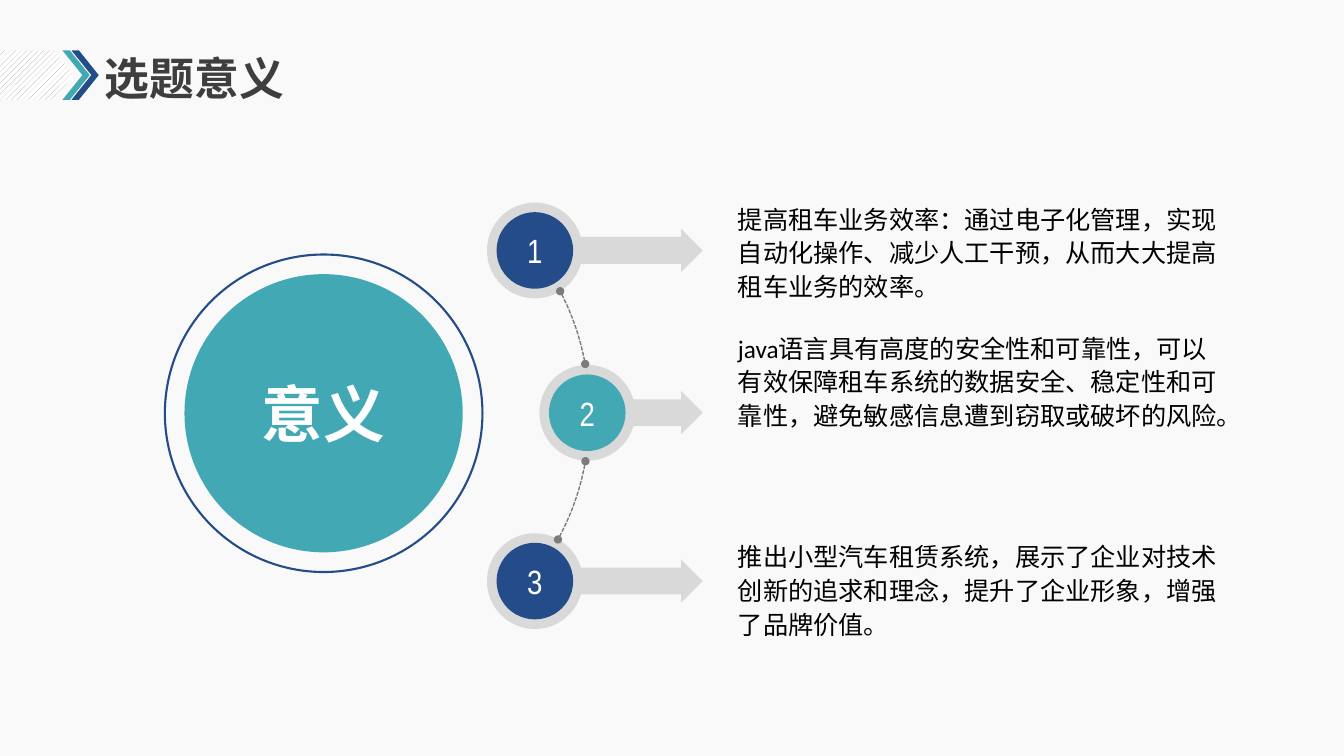
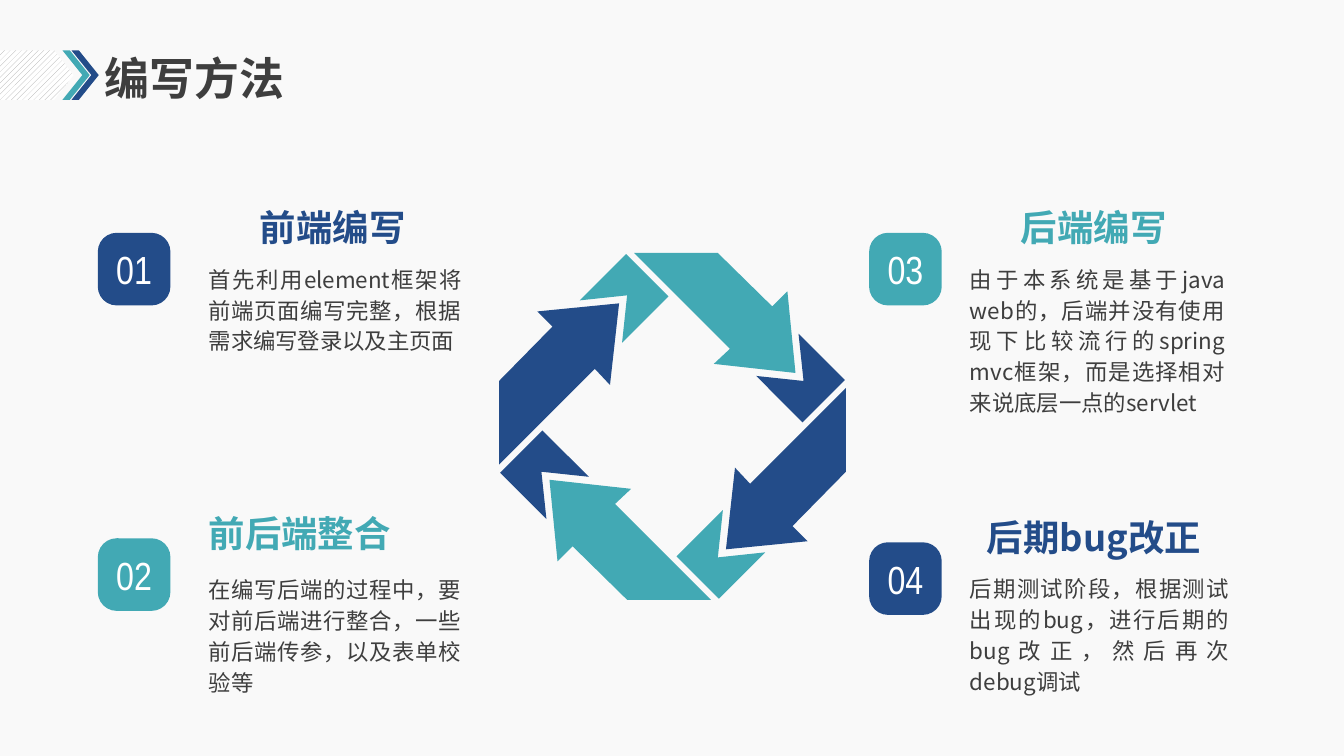
import math
from dataclasses import dataclass

import pptx
import pptx.dml.color
import pptx.enum.dml
import pptx.enum.lang
import pptx.enum.shapes
import pptx.enum.text
import pptx.oxml
import pptx.oxml.ns
import pptx.util
from lxml import etree

Inches = pptx.util.Inches
Shape = pptx.enum.shapes.MSO_SHAPE
Align = pptx.enum.text.PP_ALIGN
Anchor = pptx.enum.text.MSO_ANCHOR
AutoSize = pptx.enum.text.MSO_AUTO_SIZE


@dataclass(frozen=True)
class Theme:
    """Colours, fonts and type sizes shared by the slides."""

    paper: str = "F9F9F9"
    white: str = "FFFFFF"
    black: str = "000000"
    ink: str = "3E3E3E"
    teal: str = "42A9B4"
    blue: str = "234C89"
    pale: str = "D9D9D9"
    hatch: str = "A6A6A6"
    dotted: str = "7C7C7C"
    title_font: str = "Roboto"
    text_font: str = "Calibri"
    number_font: str = "Arial Narrow"
    chinese_font: str = "Noto Sans CJK SC"
    title_size: int = 32
    hub_size: int = 44
    heading_size: int = 26
    number_size: int = 28
    step_size: int = 24
    text_size: int = 18
    card_size: int = 16


THEME = Theme()


@dataclass(frozen=True)
class Step:
    """One numbered reason beside the hub."""

    left: float
    top: float
    color: str
    text_top: float
    text: str


@dataclass(frozen=True)
class Card:
    """One numbered working method beside the cycle."""

    number: str
    heading: str
    text: str
    color: str
    left: float
    top: float
    indent: float
    text_width: float
    text_drop: float = 0.56
    align: Align = Align.CENTER


STEPS = (
    Step(4.83, 2.01, THEME.blue, 1.94,
         "提高租车业务效率：通过电子化管理，实现自动化操作、减少人工干预，从而大大提高租车业务的效率。"),
    Step(5.35, 3.62, THEME.teal, 3.22,
         "java语言具有高度的安全性和可靠性，可以有效保障租车系统的数据安全、稳定性和可靠性，避免敏感信息遭到窃取或破坏的风险。"),
    Step(4.83, 5.29, THEME.blue, 5.29,
         "推出小型汽车租赁系统，展示了企业对技术创新的追求和理念，提升了企业形象，增强了品牌价值。"),
)

CARDS = (
    Card("01", "前端编写", "首先利用element框架将前端页面编写完整，根据需求编写登录以及主页面",
         THEME.blue, 0.97, 2.04, 1.1, 2.51),
    Card("02", "前后端整合", "在编写后端的过程中，要对前后端进行整合，一些前后端传参，以及表单校验等",
         THEME.teal, 0.97, 5.07, 1.1, 2.51, 0.61, Align.LEFT),
    Card("03", "后端编写",
         "由于本系统是基于java web的，后端并没有使用现下比较流行的spring mvc框架，而是选择相对来说底层一点的servlet",
         THEME.teal, 8.62, 2.04, 1, 2.53),
    Card("04", "后期bug改正", "后期测试阶段，根据测试出现的bug，进行后期的bug改正，然后再次debug调试",
         THEME.blue, 8.62, 5.11, 1, 2.57),
)

ARROW_OUTLINE = ((1.14, -1.34), (1.22, -0.53), (0.41, -0.62), (0.57, -0.77),
                 (-0.38, -1.72), (0.45, -1.72), (0.99, -1.19))
TAIL_OUTLINE = ((1.25, -0.92), (1.71, -0.46), (1.29, -0.04), (0.83, -0.5), (1.3, -0.45))


def rgb(color):
    """Turn a hex string into a colour."""
    return pptx.dml.color.RGBColor.from_string(color)


def paint(shape, fill=None, line=None, line_width=1):
    """Set fill and outline, and drop the shadow."""
    shape.shadow.inherit = False
    if fill:
        shape.fill.solid()
        shape.fill.fore_color.rgb = rgb(fill)
    else:
        shape.fill.background()
    if line:
        shape.line.color.rgb = rgb(line)
        shape.line.width = pptx.util.Pt(line_width)
    else:
        shape.line.fill.background()


def add_preset(slide, preset, box, fill=None, line=None, line_width=1, adjustments=()):
    """Add a preset shape in a box given in inches."""
    shape = slide.shapes.add_shape(preset, *map(Inches, box))
    for index, value in enumerate(adjustments):
        shape.adjustments[index] = value
    paint(shape, fill, line, line_width)
    return shape


def write(shape, text, font, size, color, bold=False, align=Align.LEFT, spacing=None,
          anchor=Anchor.TOP, margin=None, auto_size=AutoSize.NONE):
    """Write one formatted run into a shape."""
    frame = shape.text_frame
    frame.word_wrap = True
    frame.auto_size = auto_size
    frame.vertical_anchor = anchor
    if margin is not None:
        frame.margin_left = frame.margin_right = Inches(margin)
        frame.margin_top = frame.margin_bottom = Inches(margin)
    paragraph = frame.paragraphs[0]
    paragraph.alignment = align
    if spacing:
        paragraph.line_spacing = spacing
    run = paragraph.add_run()
    run.text = text
    run.font.name = font
    run.font.size = pptx.util.Pt(size)
    run.font.bold = bold
    run.font.color.rgb = rgb(color)
    run.font.language_id = pptx.enum.lang.MSO_LANGUAGE_ID.SIMPLIFIED_CHINESE
    latin = run.font.fill and run._r.rPr.find(pptx.oxml.ns.qn("a:latin"))
    east_asian = etree.Element(pptx.oxml.ns.qn("a:ea"))
    east_asian.set("typeface", THEME.chinese_font)
    latin.addnext(east_asian)


def add_text(slide, box, *content, **style):
    """Add a text box that grows with its text."""
    shape = slide.shapes.add_textbox(*map(Inches, box))
    write(shape, *content, auto_size=AutoSize.SHAPE_TO_FIT_TEXT, **style)


def add_header_band(slide, left, top):
    """Draw the hatched band and its two chevrons."""
    height = 0.49
    band = add_preset(slide, Shape.PENTAGON, (left, top, 0.74, height), adjustments=(0.39,))
    band.fill.patterned()
    band.fill.pattern = pptx.enum.dml.MSO_PATTERN.WIDE_UPWARD_DIAGONAL
    band.fill.fore_color.rgb = rgb(THEME.hatch)
    band.fill.back_color.rgb = rgb(THEME.white)
    chevrons = [add_preset(slide, Shape.CHEVRON, (left + offset, top, 0.27, height), color,
                           adjustments=(0.73,))
                for offset, color in ((0.63, THEME.teal), (0.72, THEME.blue))]
    return [band, *chevrons]


def prepare_layout(presentation, layout):
    """Set the background and the title place."""
    background = presentation.slide_master.background.fill
    background.solid()
    background.fore_color.rgb = rgb(THEME.paper)
    for placeholder in list(layout.placeholders):
        if placeholder.placeholder_format.type == pptx.enum.shapes.PP_PLACEHOLDER.TITLE:
            placeholder.left, placeholder.top = Inches(0.94), Inches(0.55)
            placeholder.width, placeholder.height = Inches(4.94), Inches(0.5)
        else:
            layout.shapes.element.remove(placeholder.element)


def add_titled_slide(presentation, layout, title):
    """Add a slide with the shared title style."""
    slide = presentation.slides.add_slide(layout)
    write(slide.shapes.title, title, THEME.title_font, THEME.title_size, THEME.ink,
          bold=True, spacing=0.9, anchor=Anchor.MIDDLE)
    return slide


def add_hub(slide, center_x, center_y):
    """Draw the ringed disc with its caption."""
    for diameter, style in ((2.76, {"fill": THEME.teal}),
                            (3.15, {"line": THEME.blue, "line_width": 1.5})):
        box = (center_x - diameter / 2, center_y - diameter / 2, diameter, diameter)
        add_preset(slide, Shape.OVAL, box, **style)
    add_text(slide, (center_x - 0.69, center_y - 0.37, 1.38, 0.74), "意义",
             THEME.chinese_font, THEME.hub_size, THEME.white,
             bold=True, align=Align.CENTER, margin=0)


def add_orbit(slide, center_x, center_y, start, end):
    """Draw a dashed arc between two angles in degrees, with dots at its ends."""
    radius = 2.64
    box = (center_x - radius, center_y - radius, 2 * radius, 2 * radius)
    arc = add_preset(slide, Shape.ARC, box, line=THEME.dotted,
                     adjustments=(start * 0.6, end * 0.6))
    arc.line.dash_style = pptx.enum.dml.MSO_LINE.SQUARE_DOT
    outline = arc.element.spPr.find(pptx.oxml.ns.qn("a:ln"))
    for name in ("a:headEnd", "a:tailEnd"):
        etree.SubElement(outline, pptx.oxml.ns.qn(name)).set("type", "oval")


def add_step(slide, number, step):
    """Draw a numbered disc, its arrow and its text."""
    halo, disc, arrow_end = 0.95, 0.76, 6.97
    inset = (halo - disc) / 2
    arrow_left = step.left + 0.7
    add_preset(slide, Shape.RIGHT_ARROW,
               (arrow_left, step.top + 0.26, arrow_end - arrow_left, 0.43),
               THEME.pale, adjustments=(0.62, 0.5))
    add_preset(slide, Shape.OVAL, (step.left, step.top, halo, halo), THEME.pale)
    badge = add_preset(slide, Shape.OVAL, (step.left + inset, step.top + inset, disc, disc),
                       step.color)
    write(badge, str(number), THEME.number_font, THEME.step_size, THEME.white,
          align=Align.CENTER, anchor=Anchor.MIDDLE)
    add_text(slide, (arrow_end + 0.25, step.text_top, 5, 1.09), step.text,
             THEME.text_font, THEME.text_size, THEME.black, spacing=pptx.util.Pt(24))


def add_card(slide, card):
    """Draw a numbered badge with heading and text."""
    badge = add_preset(slide, Shape.ROUNDED_RECTANGLE,
                       (card.left, card.top + 0.27, 0.72, 0.72), card.color,
                       adjustments=(0.26,))
    write(badge, card.number, THEME.number_font, THEME.number_size, THEME.white,
          align=Align.CENTER, anchor=Anchor.MIDDLE, margin=0)
    text_left = card.left + card.indent
    add_text(slide, (text_left, card.top, 2.46, 0.44), card.heading, THEME.chinese_font,
             THEME.heading_size, card.color, bold=True, align=card.align, margin=0)
    add_text(slide, (text_left, card.top + card.text_drop, card.text_width, 1.21), card.text,
             THEME.chinese_font, THEME.card_size, THEME.ink, align=Align.JUSTIFY,
             spacing=pptx.util.Pt(22), margin=0)


def add_cycle(slide, center_x, center_y):
    """Draw four arrows and tails, each a quarter turn on."""
    colors = (THEME.teal, THEME.blue)
    for quarter in range(4):
        cosine, sine = (round(turn(math.pi / 2 * quarter)) for turn in (math.cos, math.sin))
        for part, outline in enumerate((ARROW_OUTLINE, TAIL_OUTLINE)):
            points = [(Inches(center_x + x * cosine - y * sine),
                       Inches(center_y + x * sine + y * cosine)) for x, y in outline]
            builder = slide.shapes.build_freeform(*points[0], scale=1.0)
            builder.add_line_segments(points[1:], close=True)
            paint(builder.convert_to_shape(), colors[(quarter + part) % 2])


def main():
    """Build and save both slides."""
    presentation = pptx.Presentation()
    presentation.slide_width, presentation.slide_height = Inches(13.33), Inches(7.5)
    layout = presentation.slide_layouts[5]
    prepare_layout(presentation, layout)

    meaning = add_titled_slide(presentation, layout, "选题意义")
    for shape in add_header_band(meaning, -0.01, 0.5):
        layout.shapes.element.append(shape.element)
    add_hub(meaning, 3.21, 4.1)
    for number, step in enumerate(STEPS, 1):
        add_step(meaning, number, step)
    for start, end in ((332.7, 349.32), (10.39, 28.32)):
        add_orbit(meaning, 3.21, 4.1, start, end)

    method = add_titled_slide(presentation, layout, "编写方法")
    for card in CARDS:
        add_card(method, card)
    add_cycle(method, 6.67, 4.23)
    presentation.save("out.pptx")


if __name__ == "__main__":
    main()
